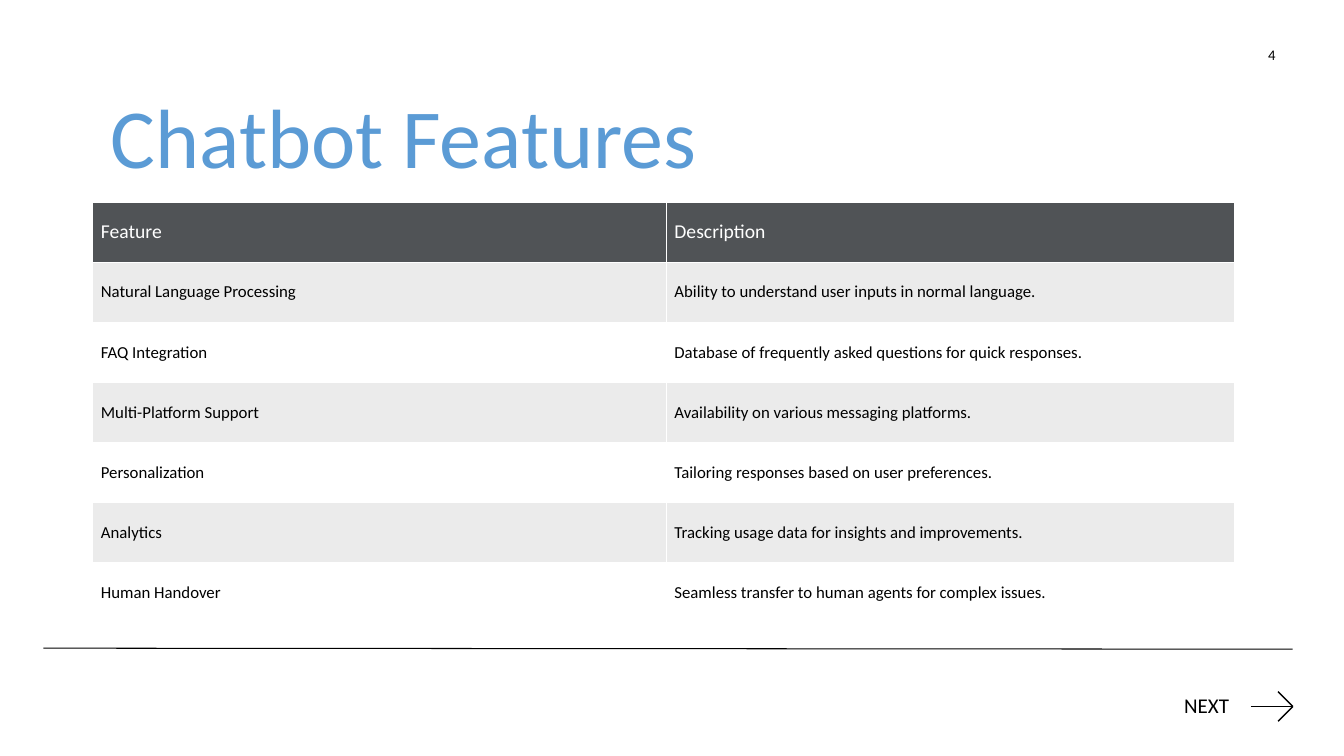
from lxml import etree
from pptx import Presentation
from pptx.dml.color import RGBColor
from pptx.enum.shapes import MSO_CONNECTOR
from pptx.enum.text import MSO_ANCHOR, MSO_AUTO_SIZE, PP_ALIGN
from pptx.oxml.ns import qn
from pptx.util import Pt

STRAIGHT = MSO_CONNECTOR.STRAIGHT
TOP, MIDDLE = MSO_ANCHOR.TOP, MSO_ANCHOR.MIDDLE
LEFT, CENTER = PP_ALIGN.LEFT, PP_ALIGN.CENTER
GROW = MSO_AUTO_SIZE.SHAPE_TO_FIT_TEXT

BLACK, WHITE, BLUE = "000000", "FFFFFF", "5B9BD5"
HEADER, BAND = "505356", "EBEBEB"

FEATURES = [
    ("Feature", "Description"),
    ("Natural Language Processing", "Ability to understand user inputs in normal language."),
    ("FAQ Integration", "Database of frequently asked questions for quick responses."),
    ("Multi-Platform Support", "Availability on various messaging platforms."),
    ("Personalization", "Tailoring responses based on user preferences."),
    ("Analytics", "Tracking usage data for insights and improvements."),
    ("Human Handover", "Seamless transfer to human agents for complex issues."),
]


def rgb(value):
    return RGBColor.from_string(value)


class SlideBuilder:
    font = "Calibri"
    cell_margin = 5.76

    def __init__(self, slide):
        self.slide = slide

    def style(self, p, size, color):
        for r in p.runs:
            r.font.name = self.font
            r.font.size = Pt(size)
            r.font.color.rgb = rgb(color)

    def text(self, text, x, y, w, h, size, color, anchor=TOP, align=LEFT):
        sp = self.slide.shapes.add_textbox(Pt(x), Pt(y), Pt(w), Pt(h))
        tf = sp.text_frame
        tf.word_wrap = True
        tf.vertical_anchor = anchor
        tf.text = text
        p = tf.paragraphs[0]
        p.alignment = align
        self.style(p, size, color)
        return tf

    def line(self, x1, y1, x2, y2, width):
        cx = self.slide.shapes.add_connector(STRAIGHT, Pt(x1), Pt(y1), Pt(x2), Pt(y2))
        cx.line.color.rgb = rgb(BLACK)
        cx.line.width = Pt(width)
        etree.SubElement(cx._element.spPr, qn("a:effectLst"))

    def borders(self, cell, color, width):
        tcPr = cell._tc.get_or_add_tcPr()
        for i, side in enumerate(("a:lnL", "a:lnR", "a:lnT", "a:lnB")):
            ln = etree.Element(qn(side), w=str(Pt(width)))
            fill = etree.SubElement(ln, qn("a:solidFill"))
            etree.SubElement(fill, qn("a:srgbClr"), val=color)
            tcPr.insert(i, ln)

    def cell(self, cell, text, size, color, fill):
        cell.fill.solid()
        cell.fill.fore_color.rgb = rgb(fill)
        cell.vertical_anchor = MIDDLE
        margin = Pt(self.cell_margin)
        cell.margin_left = cell.margin_right = margin
        cell.margin_top = cell.margin_bottom = margin
        cell.text_frame.text = text
        self.style(cell.text_frame.paragraphs[0], size, color)
        self.borders(cell, WHITE, 1)

    def table(self, rows, x, y, col_widths, row_height):
        table = self.slide.shapes.add_table(
            len(rows), len(col_widths), Pt(x), Pt(y),
            Pt(sum(col_widths)), Pt(row_height * len(rows))).table
        for column, width in zip(table.columns, col_widths):
            column.width = Pt(width)
        for i, row in enumerate(rows):
            table.rows[i].height = Pt(row_height)
            if i == 0:
                size, color, fill = 14, WHITE, HEADER
            else:
                size, color, fill = 12, BLACK, BAND if i % 2 else WHITE
            for j, text in enumerate(row):
                self.cell(table.cell(i, j), text, size, color, fill)

    def arrow(self, x1, x2, y, head):
        self.line(x1, y, x2, y, 1)
        for dy in (-head, head):
            self.line(x2 - head, y + dy, x2, y, 1)

    def next_label(self, x, y, w, h):
        tf = self.text("NEXT", x, y, w, h, 15, BLACK)
        tf.auto_size = GROW
        tf.margin_left = tf.margin_right = Pt(2.9)
        p = tf.paragraphs[0]
        p.line_spacing = 0.9
        p.space_before = Pt(6)


def main():
    prs = Presentation()
    prs.slide_width, prs.slide_height = Pt(960), Pt(540)
    s = SlideBuilder(prs.slides.add_slide(prs.slide_layouts[6]))
    s.arrow(893.5, 923.5, 504.6, 10.6)
    s.next_label(843, 493, 60, 24)
    s.table(FEATURES, 66.3, 144.3, (409.7, 406), 42.95)
    s.text("Chatbot Features", 72, 57, 822, 104, 60, BLUE)
    s.line(31, 463, 923.4, 463.7, 0.75)
    s.text("4", 894, 25.2, 29, 28, 10.5, BLACK, MIDDLE, CENTER)
    prs.save("out.pptx")


if __name__ == "__main__":
    main()
